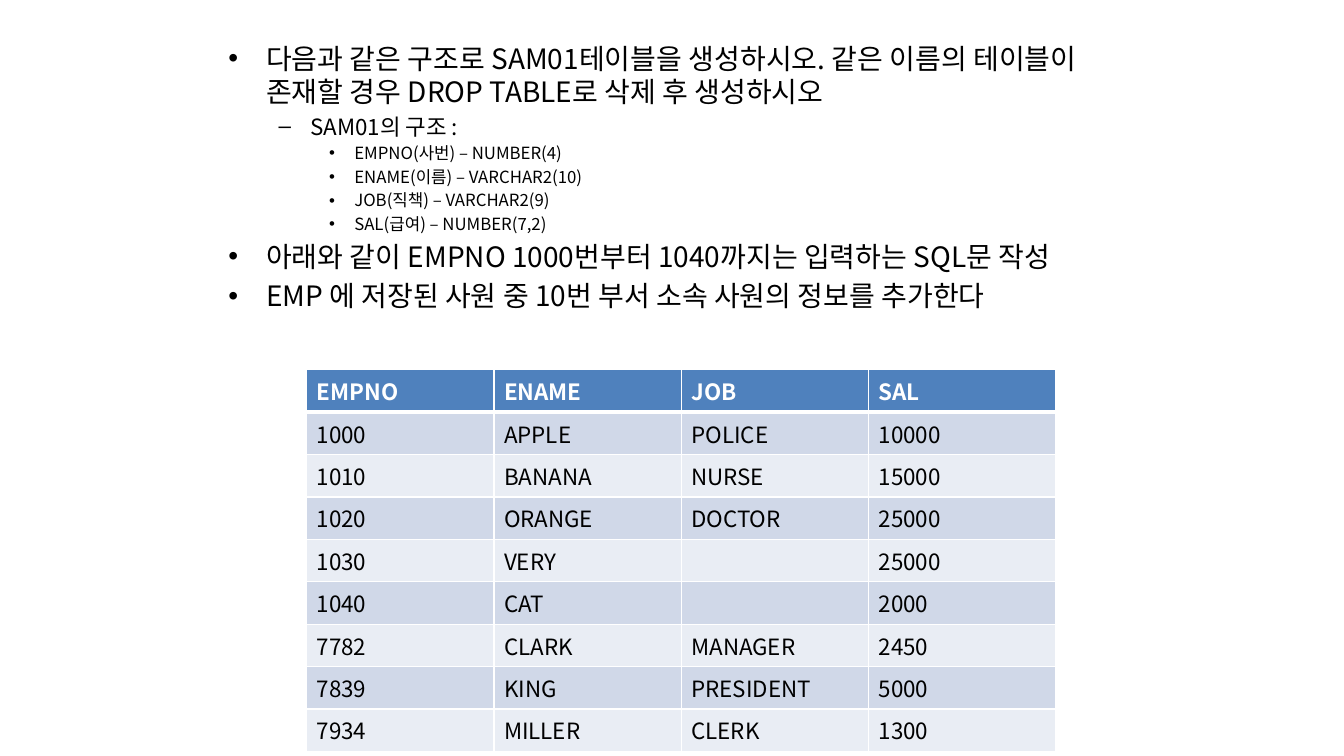
import dataclasses

import lxml.etree
import pptx
import pptx.dml.color
import pptx.oxml.ns
import pptx.util

Cm = pptx.util.Cm
Pt = pptx.util.Pt


@dataclasses.dataclass(frozen=True)
class Theme:
    font: str = "Noto Sans CJK KR"
    text: str = "000000"
    white: str = "FFFFFF"
    header: str = "4F81BD"
    bands: tuple = ("D0D8E8", "E9EDF4")
    level_sizes: tuple = (20, 16, 12)
    table_size: int = 16
    thin_border: int = 1
    header_border: int = 3


THEME = Theme()

TASKS = [
    (0, "다음과 같은 구조로 SAM01테이블을 생성하시오. 같은 이름의 테이블이 존재할 경우 DROP TABLE로 삭제 후 생성하시오"),
    (1, "SAM01의 구조 :"),
    (2, "EMPNO(사번) – NUMBER(4)"),
    (2, "ENAME(이름) – VARCHAR2(10)"),
    (2, "JOB(직책) – VARCHAR2(9)"),
    (2, "SAL(급여) – NUMBER(7,2)"),
    (0, "아래와 같이 EMPNO 1000번부터 1040까지는 입력하는 SQL문 작성"),
    (0, "EMP 에 저장된 사원 중 10번 부서 소속 사원의 정보를 추가한다"),
]

EMPLOYEES = [
    ("EMPNO", "ENAME", "JOB", "SAL"),
    ("1000", "APPLE", "POLICE", "10000"),
    ("1010", "BANANA", "NURSE", "15000"),
    ("1020", "ORANGE", "DOCTOR", "25000"),
    ("1030", "VERY", "", "25000"),
    ("1040", "CAT", "", "2000"),
    ("7782", "CLARK", "MANAGER", "2450"),
    ("7839", "KING", "PRESIDENT", "5000"),
    ("7934", "MILLER", "CLERK", "1300"),
]


def rgb(color):
    return pptx.dml.color.RGBColor.from_string(color)


def add_element(parent, tag, **attributes):
    name = pptx.oxml.ns.qn(tag)
    return lxml.etree.SubElement(parent, name, attributes)


def format_runs(paragraph, size, color, bold=False):
    for run in paragraph.runs:
        run.font.size = Pt(size)
        run.font.name = THEME.font
        run.font.bold = bold
        run.font.color.rgb = rgb(color)
        add_element(run.font._element, "a:ea", typeface=THEME.font)


def set_borders(cell, bottom_width):
    properties = cell._tc.get_or_add_tcPr()
    widths = dict.fromkeys(("a:lnL", "a:lnR", "a:lnT"), THEME.thin_border)
    widths["a:lnB"] = bottom_width
    for tag, width in widths.items():
        line = add_element(properties, tag, w=str(Pt(width)))
        fill = add_element(line, "a:solidFill")
        add_element(fill, "a:srgbClr", val=THEME.white)


def fill_tasks(placeholder, left, top, width, height):
    placeholder.left, placeholder.top = left, top
    placeholder.width, placeholder.height = width, height
    text_frame = placeholder.text_frame
    text_frame.text = "\n".join(text for level, text in TASKS)
    for paragraph, (level, text) in zip(text_frame.paragraphs, TASKS):
        paragraph.level = level
        format_runs(paragraph, THEME.level_sizes[level], THEME.text)


def add_employee_table(slide, left, top, width, height):
    row_count, column_count = len(EMPLOYEES), len(EMPLOYEES[0])
    table = slide.shapes.add_table(row_count, column_count, left, top, width, height).table
    for row_index, values in enumerate(EMPLOYEES):
        is_header = row_index == 0
        fill = THEME.header if is_header else THEME.bands[(row_index - 1) % 2]
        color = THEME.white if is_header else THEME.text
        bottom_width = THEME.header_border if is_header else THEME.thin_border
        for column_index, value in enumerate(values):
            cell = table.cell(row_index, column_index)
            cell.text = value
            format_runs(cell.text_frame.paragraphs[0], THEME.table_size, color, is_header)
            set_borders(cell, bottom_width)
            cell.fill.solid()
            cell.fill.fore_color.rgb = rgb(fill)


def build_exercise_slide(presentation):
    slide = presentation.slides.add_slide(presentation.slide_layouts.get_by_name("Title and Content"))
    title = slide.shapes.title
    title._element.getparent().remove(title._element)
    fill_tasks(slide.placeholders[1], Cm(5.5), Cm(0.91), Cm(22.86), Cm(16.1))
    add_employee_table(slide, Cm(7.73), Cm(9.32), Cm(18.88), Cm(8.38))


presentation = pptx.Presentation()
presentation.slide_width = Cm(33.87)
presentation.slide_height = Cm(19.05)
build_exercise_slide(presentation)
presentation.save("out.pptx")
